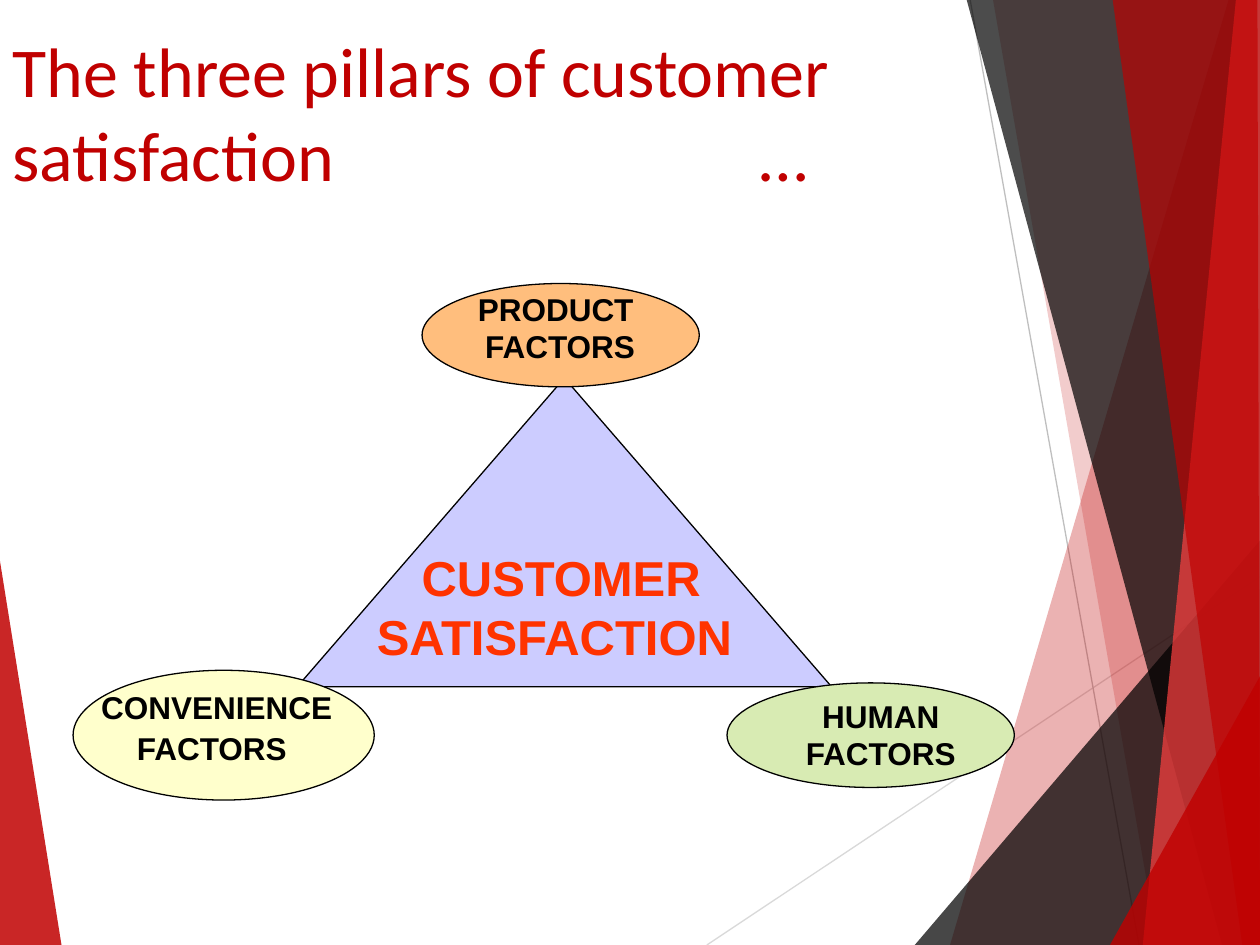
from lxml.etree import SubElement
from pptx import Presentation
from pptx.dml.color import RGBColor
from pptx.enum.shapes import MSO_CONNECTOR, MSO_SHAPE
from pptx.enum.text import MSO_ANCHOR, MSO_AUTO_SIZE, PP_ALIGN
from pptx.oxml.ns import qn
from pptx.util import Inches, Pt

BLACK = RGBColor(0x00, 0x00, 0x00)
DARK_RED = RGBColor(0xC0, 0x00, 0x00)
BRIGHT_RED = RGBColor(0xFF, 0x40, 0x40)
ORANGE_RED = RGBColor(0xFF, 0x33, 0x00)
LIGHT_GRAY = RGBColor(0xD9, 0xD9, 0xD9)
MID_GRAY = RGBColor(0xBF, 0xBF, 0xBF)
LAVENDER = RGBColor(0xCC, 0xCC, 0xFF)
GREEN = RGBColor(0xD8, 0xEB, 0xB3)
ORANGE = RGBColor(0xFF, 0xBE, 0x7D)
YELLOW = RGBColor(0xFF, 0xFF, 0xCC)


def write_text(shape, text, *, size, color, font="Arial", bold=False,
               align=PP_ALIGN.CENTER):
    frame = shape.text_frame
    frame.word_wrap = True
    frame.auto_size = MSO_AUTO_SIZE.NONE
    frame.vertical_anchor = MSO_ANCHOR.TOP
    frame.text = text
    for paragraph in frame.paragraphs:
        paragraph.alignment = align
        for run in paragraph.runs:
            run.font.name = font
            run.font.size = Pt(size)
            run.font.bold = bold
            run.font.color.rgb = color


def style_shape(shape, fill, *, line=None, opacity=100):
    shape.shadow.inherit = False
    shape.fill.solid()
    shape.fill.fore_color.rgb = fill
    if opacity < 100:
        color = shape._element.spPr.find(qn("a:solidFill"))[0]
        SubElement(color, qn("a:alpha"), val=str(opacity * 1000))
    if line is None:
        shape.line.fill.background()
    else:
        shape.line.color.rgb = line
        shape.line.width = Pt(0.75)


presentation = Presentation()
presentation.slide_width = Inches(10)
presentation.slide_height = Inches(7.5)
slide = presentation.slides.add_slide(presentation.slide_layouts[5])
shapes = slide.shapes

# Thin lines behind the coloured facets
thin_lines = [
    ((5.61, 7.5), (10.01, 4.57), LIGHT_GRAY),
    ((7.7, 0), (9.04, 7.5), MID_GRAY),
]
for start, end, color in thin_lines:
    connector = shapes.add_connector(
        MSO_CONNECTOR.STRAIGHT, *(Inches(value) for value in start + end))
    connector.line.color.rgb = color
    connector.line.width = Pt(0.75)
    SubElement(connector._element.spPr, qn("a:effectLst"))

# Translucent facets: corners, colour, opacity in percent
facets = [
    ([(-0.01, 4.39), (0.49, 7.51), (-0.01, 7.5)], DARK_RED, 85),
    ([(9.75, 0), (7.54, 7.5), (10.02, 7.51), (10.01, 0)], DARK_RED, 30),
    ([(7.88, -0.01), (9.19, 7.5), (10.01, 7.5), (10.01, -0.01)], DARK_RED, 20),
    ([(7.26, 7.5), (10, 4.29), (10.01, 7.5)], BLACK, 72),
    ([(7.67, -0.01), (9.7, 7.5), (10.01, 7.5), (10.01, -0.01)], BLACK, 70),
    ([(9.81, -0.01), (9.07, 7.5), (10.01, 7.5), (10, -0.01)], BRIGHT_RED, 70),
    ([(8.83, -0.01), (9.86, 7.5), (10, 7.5), (9.98, -0.01)], DARK_RED, 65),
    ([(8.81, 7.5), (10.01, 5.35), (10.01, 7.5)], DARK_RED, 80),
]
for corners, color, opacity in facets:
    points = [(Inches(x), Inches(y)) for x, y in corners]
    builder = shapes.build_freeform(*points[0])
    builder.add_line_segments(points[1:], close=True)
    style_shape(builder.convert_to_shape(), color, opacity=opacity)

# Title, brought in front of the facets, with a tab stop before the ellipsis
title = shapes.title
title.left, title.top = Inches(0), Inches(0.17)
title.width, title.height = Inches(7.82), Inches(1.33)
write_text(title, "The three pillars of customer satisfaction\t…",
           size=40, color=DARK_RED, font="Calibri", align=PP_ALIGN.LEFT)
tab_list = SubElement(title.text_frame.paragraphs[0]._p.get_or_add_pPr(),
                      qn("a:tabLst"))
SubElement(tab_list, qn("a:tab"), pos=str(Inches(5.93)), algn="l")
shapes._spTree.append(title._element)

# Triangle and the three pillars: outline and its box, fill, label and its box
diagram = [
    (MSO_SHAPE.ISOSCELES_TRIANGLE, (2.36, 3, 4.24, 2.45), LAVENDER,
     " CUSTOMER SATISFACTION", (2.6, 4.3, 3.6, 1.03), 28, ORANGE_RED),
    (MSO_SHAPE.OVAL, (5.77, 5.42, 2.28, 0.83), GREEN,
     "HUMAN FACTORS", (6.04, 5.48, 1.9, 0.7), 18, BLACK),
    (MSO_SHAPE.OVAL, (3.35, 2.25, 2.2, 0.82), ORANGE,
     "PRODUCT \vFACTORS", (3.45, 2.25, 1.99, 0.7), 18, BLACK),
    (MSO_SHAPE.OVAL, (0.58, 5.32, 2.39, 1.03), YELLOW,
     "CONVENIENCE\nFACTORS", (0.6, 5.41, 2.24, 0.73), 18, BLACK),
]
for kind, outline_box, fill, text, label_box, size, color in diagram:
    outline = shapes.add_shape(kind, *(Inches(value) for value in outline_box))
    style_shape(outline, fill, line=BLACK)
    label = shapes.add_textbox(*(Inches(value) for value in label_box))
    write_text(label, text, size=size, color=color, bold=True)

# The last label ends in a larger space, which opens up its second line
space = label.text_frame.paragraphs[-1].add_run()
space.text = " "
space.font.name = "Arial"
space.font.size = Pt(20)
space.font.bold = True

presentation.save("out.pptx")
